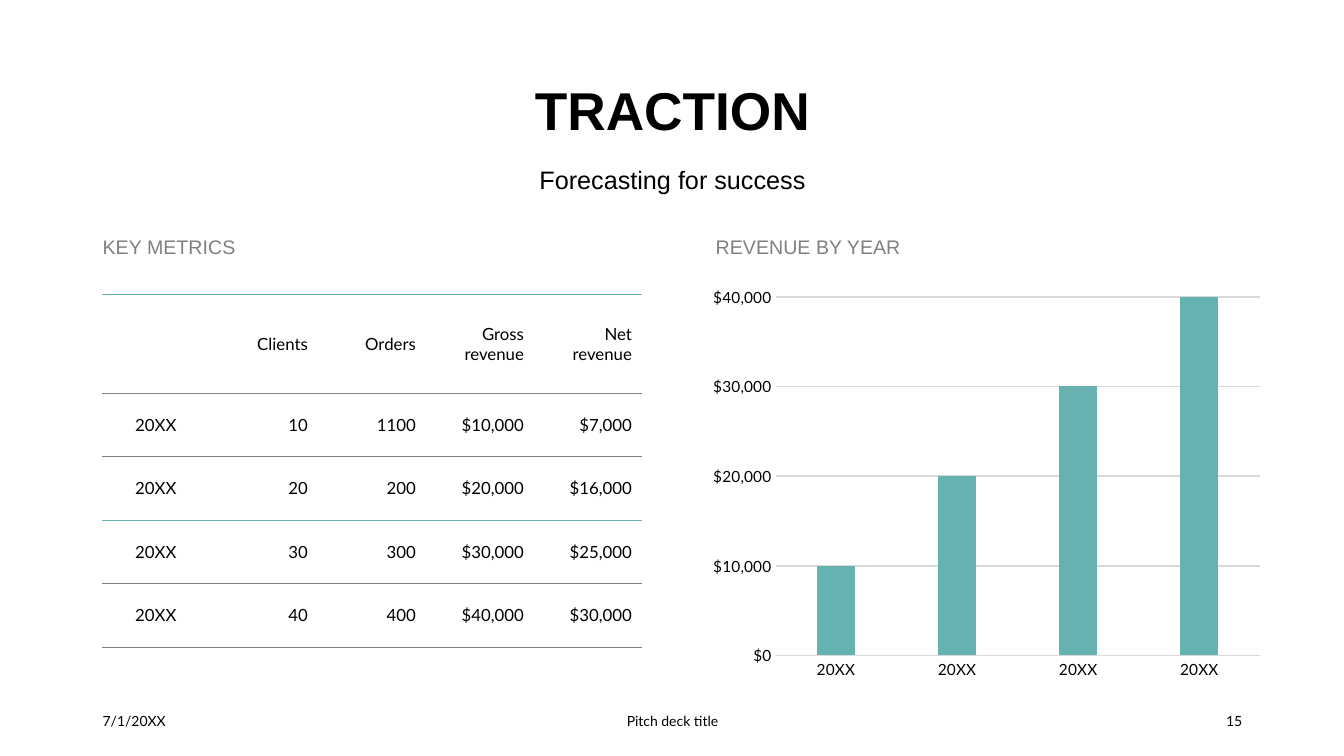
from dataclasses import dataclass
from typing import Optional

from lxml.etree import SubElement
from pptx import Presentation
from pptx.chart.data import CategoryChartData
from pptx.dml.color import RGBColor
from pptx.enum.chart import XL_CHART_TYPE, XL_TICK_MARK
from pptx.enum.text import MSO_ANCHOR, PP_ALIGN
from pptx.oxml import parse_xml
from pptx.oxml.ns import nsdecls, qn
from pptx.util import Inches, Pt

BLACK, GRAY, LIGHT_GRAY, TEAL = "000000", "808080", "D9D9D9", "66B2B0"
HEADING_FONT, BODY_FONT = "Arial", "Lato"
LEFT, CENTER, RIGHT = PP_ALIGN.LEFT, PP_ALIGN.CENTER, PP_ALIGN.RIGHT
MIDDLE = MSO_ANCHOR.MIDDLE


@dataclass
class Label:
    text: str
    left: float
    top: float
    width: float
    height: float
    size: float
    font: str = BODY_FONT
    color: str = BLACK
    align: PP_ALIGN = LEFT
    anchor: MSO_ANCHOR = MIDDLE
    spacing: Optional[object] = None


LABELS = [
    Label("Forecasting for success", 1.72, 1.52, 9.9, 0.43, 18, HEADING_FONT,
          align=CENTER, anchor=MSO_ANCHOR.TOP, spacing=Pt(26)),
    Label("KEY METRICS", 0.92, 2.19, 5.64, 0.43, 14, HEADING_FONT, GRAY,
          anchor=MSO_ANCHOR.BOTTOM, spacing=0.9),
    Label("REVENUE BY YEAR", 7, 2.19, 4.74, 0.43, 14, HEADING_FONT, GRAY,
          anchor=MSO_ANCHOR.BOTTOM, spacing=0.9),
    Label("7/1/20XX", 0.92, 6.95, 3, 0.4, 10),
    Label("Pitch deck title", 4.42, 6.95, 4.5, 0.4, 10, align=CENTER),
    Label("15", 9.42, 6.95, 3, 0.4, 10, align=RIGHT),
]

METRICS = [
    ["", "Clients", "Orders", "Gross revenue", "Net revenue"],
    ["20XX", "10", "1100", "$10,000", "$7,000"],
    ["20XX", "20", "200", "$20,000", "$16,000"],
    ["20XX", "30", "300", "$30,000", "$25,000"],
    ["20XX", "40", "400", "$40,000", "$30,000"],
]
RULE_COLORS = [TEAL, GRAY, GRAY, TEAL, GRAY, GRAY]
REVENUE = [10000, 20000, 30000, 40000]


def rgb(color: str) -> RGBColor:
    return RGBColor.from_string(color)


def format_font(font, size: float, name: str, color: str, bold: bool = False) -> None:
    font.size = Pt(size)
    font.name = name
    font.bold = bold
    font.color.rgb = rgb(color)


def write_text(frame, text: str, *, size: float, font: str = BODY_FONT, color: str = BLACK,
               bold: bool = False, align: PP_ALIGN = LEFT, spacing=None) -> None:
    frame.word_wrap = True
    paragraph = frame.paragraphs[0]
    paragraph.alignment = align
    if spacing is not None:
        paragraph.line_spacing = spacing
    run = paragraph.add_run()
    run.text = text
    format_font(run.font, size, font, color, bold)


def add_title(slide) -> None:
    title = slide.shapes.title
    title.left, title.top = Inches(1.72), Inches(0.77)
    title.width, title.height = Inches(9.9), Inches(0.7)
    title.text_frame.vertical_anchor = MIDDLE
    write_text(title.text_frame, "TRACTION", size=38, font=HEADING_FONT, bold=True,
               align=CENTER, spacing=0.9)


def add_label(slide, label: Label) -> None:
    box = slide.shapes.add_textbox(Inches(label.left), Inches(label.top),
                                   Inches(label.width), Inches(label.height))
    box.text_frame.vertical_anchor = label.anchor
    write_text(box.text_frame, label.text, size=label.size, font=label.font,
               color=label.color, align=label.align, spacing=label.spacing)


def set_borders(cell, top: str, bottom: str) -> None:
    properties = cell.fill._xPr
    borders = [("lnL", None), ("lnR", None), ("lnT", top), ("lnB", bottom)]
    for position, (tag, color) in enumerate(borders):
        line = SubElement(properties, qn(f"a:{tag}"), w=str(Pt(1)))
        if color is None:
            SubElement(line, qn("a:noFill"))
        else:
            fill = SubElement(line, qn("a:solidFill"))
            SubElement(fill, qn("a:srgbClr"), val=color)
        properties.insert(position, line)


def add_metrics_table(slide) -> None:
    frame = slide.shapes.add_table(len(METRICS), len(METRICS[0]), Inches(1.01), Inches(2.92),
                                   Inches(5.36), Inches(3.5))
    table = frame.table
    table.first_row = table.horz_banding = False
    for column in table.columns:
        column.width = Inches(5.36 / len(METRICS[0]))
    for row_index, values in enumerate(METRICS):
        table.rows[row_index].height = Inches(0.63 if row_index else 0.98)
        for column_index, value in enumerate(values):
            cell = table.cell(row_index, column_index)
            cell.vertical_anchor = MIDDLE
            cell.fill.background()
            set_borders(cell, RULE_COLORS[row_index], RULE_COLORS[row_index + 1])
            if value:
                write_text(cell.text_frame, value, size=12,
                           align=RIGHT if column_index else CENTER)


def format_axis(axis) -> None:
    axis.major_tick_mark = axis.minor_tick_mark = XL_TICK_MARK.NONE
    format_font(axis.tick_labels.font, 11, BODY_FONT, BLACK)


def format_line(line) -> None:
    line.color.rgb = rgb(LIGHT_GRAY)
    line.width = Pt(1.25)


def add_revenue_chart(slide) -> None:
    data = CategoryChartData(number_format="[$$-409]#,##0")
    data.categories = ["20XX"] * len(REVENUE)
    data.add_series("Series 1", REVENUE)
    chart = slide.shapes.add_chart(XL_CHART_TYPE.COLUMN_CLUSTERED, Inches(6.96), Inches(2.77),
                                   Inches(5.65), Inches(4.04), data).chart
    chart.has_legend = chart.has_title = False
    format_font(chart.font, 10, BODY_FONT, BLACK)

    plot = chart.plots[0]
    plot.vary_by_categories = False
    plot.gap_width, plot.overlap = 219, -27
    series = plot.series[0]
    series.format.fill.solid()
    series.format.fill.fore_color.rgb = rgb(TEAL)

    format_axis(chart.category_axis)
    format_line(chart.category_axis.format.line)
    value_axis = chart.value_axis
    format_axis(value_axis)
    value_axis.format.line.fill.background()
    value_axis.minimum_scale, value_axis.maximum_scale = 0, 40000
    value_axis.major_unit = 10000
    value_axis.has_major_gridlines = True
    format_line(value_axis.major_gridlines.format.line)
    value_axis.tick_labels.number_format = "[$$-409]#,##0"
    value_axis.tick_labels.number_format_is_linked = False


def main() -> None:
    presentation = Presentation()
    presentation.slide_width, presentation.slide_height = Inches(13.33), Inches(7.5)
    slide = presentation.slides.add_slide(presentation.slide_layouts[5])
    add_title(slide)
    for label in LABELS:
        add_label(slide, label)
    add_metrics_table(slide)
    add_revenue_chart(slide)
    presentation.save("out.pptx")


if __name__ == "__main__":
    main()
